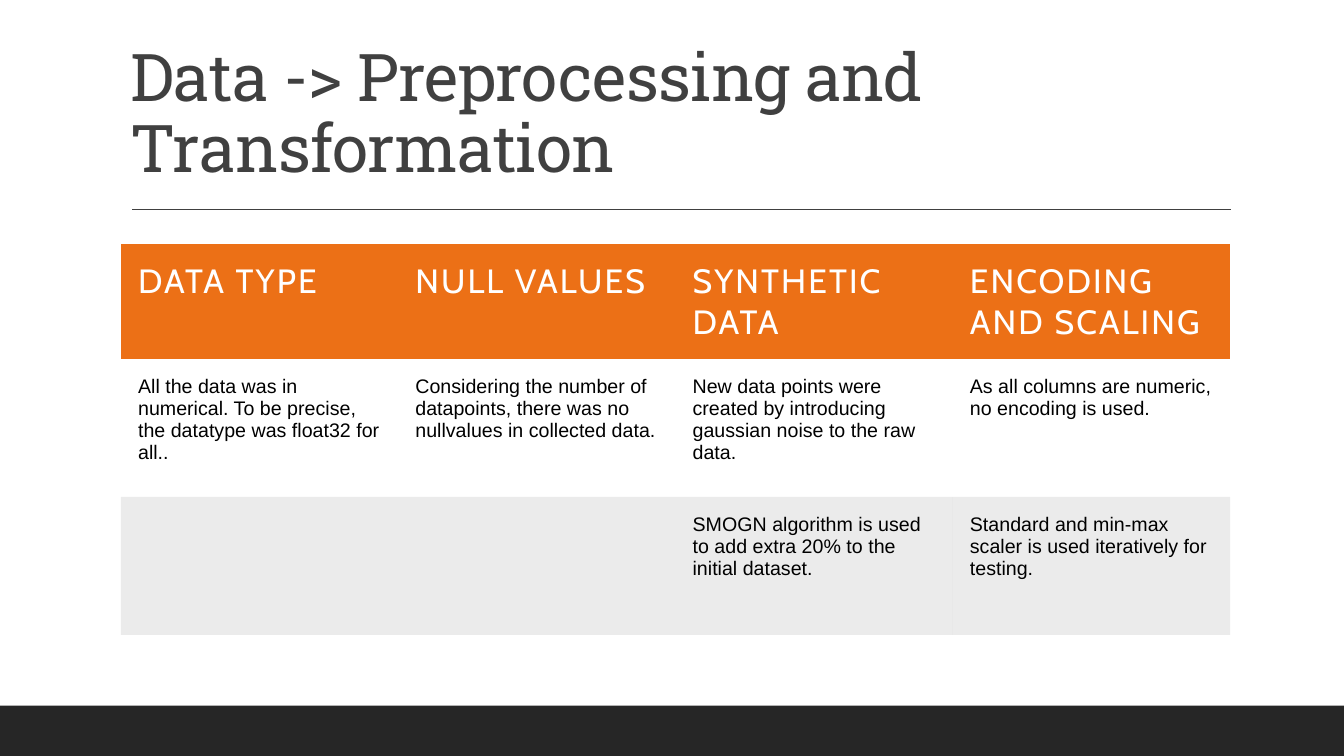
import lxml.etree
import pptx
import pptx.dml.color
import pptx.enum.shapes
import pptx.enum.text
import pptx.oxml.ns
import pptx.util

Inches = pptx.util.Inches
qn = pptx.oxml.ns.qn

PLAIN_TABLE_STYLE = "{2D5ABB26-0587-4C30-8999-92F81FD0307C}"
HEADERS = ["DATA TYPE", "NULL VALUES", "SYNTHETIC DATA", "ENCODING AND SCALING"]
BODY_ROWS = [
    [
        "All the data was in numerical. To be precise, the datatype was float32 for all..",
        "Considering the number of datapoints, there was no nullvalues in collected data.",
        "New data points were created by introducing gaussian noise to the raw data.",
        "As all columns are numeric, no encoding is used.",
    ],
    [
        "",
        "",
        "SMOGN algorithm is used to add extra 20% to the initial dataset.",
        "Standard and min-max scaler is used iteratively for testing.",
    ],
]


def color(value):
    return pptx.dml.color.RGBColor.from_string(value)


class SlideBuilder:
    dark = "262626"
    gray = "404040"
    orange = "EC7016"
    white = "FFFFFF"
    black = "000000"
    title_style = ("Roboto Slab", 47, gray, -0.5)
    header_style = ("Cabin", 24, white, 1.5)
    body_style = ("Arial", 14, black, 0)
    cell_margin = Inches(0.17)

    def __init__(self, slide):
        self.slide = slide

    def add_run(self, paragraph, text, style):
        name, size, font_color, spacing = style
        run = paragraph.add_run()
        run.text = text
        run.font.name = name
        run.font.size = pptx.util.Pt(size)
        run.font.bold = False
        run.font.color.rgb = color(font_color)
        run.font._element.set("spc", str(int(spacing * 100)))

    def add_bar(self, left, top, width, height):
        shape = self.slide.shapes.add_shape(
            pptx.enum.shapes.MSO_SHAPE.RECTANGLE,
            Inches(left), Inches(top), Inches(width), Inches(height))
        shape.shadow.inherit = False
        shape.fill.solid()
        shape.fill.fore_color.rgb = color(self.dark)
        shape.line.fill.background()

    def add_rule(self, left, right, top):
        connector = self.slide.shapes.add_connector(
            pptx.enum.shapes.MSO_CONNECTOR.STRAIGHT,
            Inches(left), Inches(top), Inches(right), Inches(top))
        connector.line.color.rgb = color(self.gray)
        connector.line.width = pptx.util.Pt(1)
        lxml.etree.SubElement(connector._element.spPr, qn("a:effectLst"))

    def add_title(self, text, left, top, width, height):
        shape = self.slide.shapes.add_textbox(
            Inches(left), Inches(top), Inches(width), Inches(height))
        frame = shape.text_frame
        frame.word_wrap = True
        frame.vertical_anchor = pptx.enum.text.MSO_ANCHOR.BOTTOM
        paragraph = frame.paragraphs[0]
        paragraph.line_spacing = 0.9
        self.add_run(paragraph, text, self.title_style)

    def fill_cell(self, cell, fill, opacity=100):
        cell.fill.solid()
        cell.fill.fore_color.rgb = color(fill)
        if opacity < 100:
            source = cell._tc.tcPr.find(qn("a:solidFill"))[0]
            alpha = lxml.etree.SubElement(source, qn("a:alpha"))
            alpha.set("val", str(opacity * 1000))

    def write_cell(self, cell, text, style):
        cell.margin_left = cell.margin_right = self.cell_margin
        cell.margin_top = cell.margin_bottom = self.cell_margin
        if text:
            self.add_run(cell.text_frame.paragraphs[0], text, style)

    def add_table(self, rows, left, top, width, row_heights):
        table = self.slide.shapes.add_table(
            len(rows), len(rows[0]), Inches(left), Inches(top),
            Inches(width), Inches(sum(row_heights))).table
        table.horz_banding = False
        table._tbl.tblPr.find(qn("a:tableStyleId")).text = PLAIN_TABLE_STYLE
        for row_index, texts in enumerate(rows):
            table.rows[row_index].height = Inches(row_heights[row_index])
            style = self.body_style if row_index else self.header_style
            for column_index, text in enumerate(texts):
                cell = table.cell(row_index, column_index)
                self.write_cell(cell, text, style)
                if row_index == 0:
                    self.fill_cell(cell, self.orange)
                elif row_index % 2 == 0:
                    self.fill_cell(cell, self.black, opacity=8)
                else:
                    cell.fill.background()


def main():
    presentation = pptx.Presentation()
    presentation.slide_width = Inches(13.33)
    presentation.slide_height = Inches(7.5)
    builder = SlideBuilder(presentation.slides.add_slide(presentation.slide_layouts[6]))
    builder.add_bar(0, 7, 13.33, 0.5)
    builder.add_rule(1.31, 12.21, 2.08)
    builder.add_title("Data -> Preprocessing and Transformation", 1.2, 0.31, 11, 1.59)
    builder.add_table([HEADERS] + BODY_ROWS, 1.2, 2.42, 11, [1.04, 1.37, 1.37])
    presentation.save("out.pptx")


if __name__ == "__main__":
    main()
